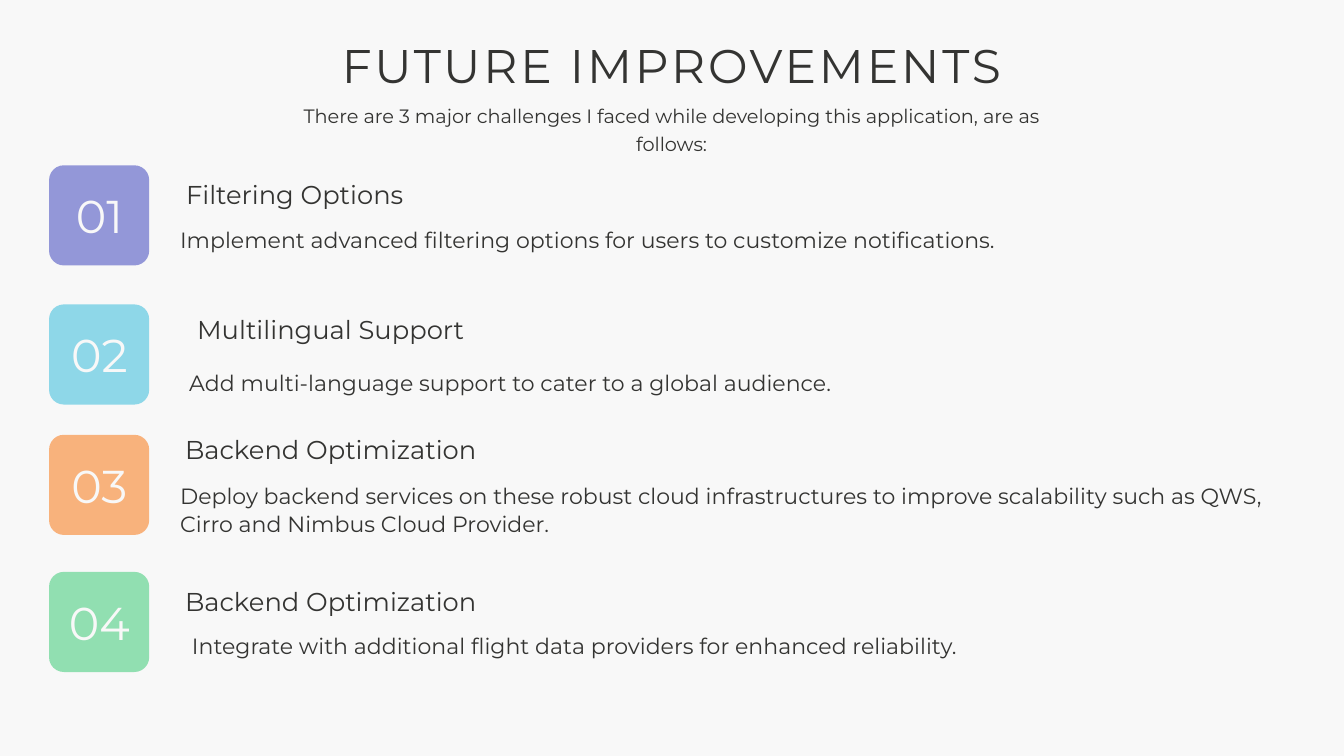
from dataclasses import dataclass

from pptx import Presentation
from pptx import util as u
from pptx.dml.color import RGBColor
from pptx.enum import shapes, text


@dataclass(frozen=True)
class Theme:
    font: str = "Montserrat"
    background: str = "F8F8F8"
    ink: str = "343432"
    badges: tuple = ("9397D8", "8ED7E8", "F8B27C", "91DFB1")
    title: tuple = (50.5, 70.7)
    subtitle: tuple = (20.7, 29)
    number: tuple = (49.3, 63.2)
    heading: tuple = (27.6, 35.4)
    body: tuple = (23.6, 30.3)


CENTER = text.PP_ALIGN.CENTER
LEFT = text.PP_ALIGN.LEFT
BADGE_LEFT, BADGE_SIZE, BADGE_RADIUS = 0.73, 1.49, 0.22
TEXT_LEFT = 2.68
ITEMS = [
    (2.46, "Filtering Options", 2.63, 3.41,
     "Implement advanced filtering options for users to customize notifications.",
     3.34, 12.37, 0.41, LEFT),
    (4.53, "Multilingual Support", 4.64, 4.48,
     "Add multi-language support to cater to a global audience.",
     5.47, 9.83, 0.41, CENTER),
    (6.47, "Backend Optimization", 6.43, 4.48,
     "Deploy backend services on these robust cloud infrastructures to improve "
     "scalability such as QWS, Cirro and Nimbus Cloud Provider.",
     7.15, 16.59, 0.82, LEFT),
    (8.51, "Backend Optimization", 8.68, 4.48,
     "Integrate with additional flight data providers for enhanced reliability.",
     9.39, 11.74, 0.41, CENTER),
]


class SlideBuilder:
    def __init__(self, slide, theme):
        self.slide = slide
        self.theme = theme

    def background(self):
        fill = self.slide.background.fill
        fill.solid()
        fill.fore_color.rgb = RGBColor.from_string(self.theme.background)

    def label(self, wording, box, style, color=None, align=CENTER, spacing=None):
        size, line_height = style
        frame = self.slide.shapes.add_textbox(*map(u.Inches, box)).text_frame
        paragraph = frame.paragraphs[0]
        run = paragraph.add_run()
        run.text = wording
        formats = (
            (frame, {"word_wrap": True, "margin_left": 0, "margin_right": 0,
                     "margin_top": 0, "margin_bottom": 0,
                     "auto_size": text.MSO_AUTO_SIZE.SHAPE_TO_FIT_TEXT}),
            (paragraph, {"alignment": align, "line_spacing": u.Pt(line_height)}),
            (run.font, {"name": self.theme.font, "size": u.Pt(size)}),
            (run.font.color, {"rgb": RGBColor.from_string(color or self.theme.ink)}),
        )
        for target, values in formats:
            for name, value in values.items():
                setattr(target, name, value)
        if spacing:
            run._r.get_or_add_rPr().set("spc", str(round(spacing * 100)))

    def badge(self, number, top, color):
        box = (BADGE_LEFT, top, BADGE_SIZE, BADGE_SIZE)
        shape = self.slide.shapes.add_shape(
            shapes.MSO_SHAPE.ROUNDED_RECTANGLE, *map(u.Inches, box))
        shape.adjustments[0] = BADGE_RADIUS / BADGE_SIZE
        shape.shadow.inherit = False
        shape.fill.solid()
        shape.fill.fore_color.rgb = RGBColor.from_string(color)
        shape.line.fill.background()
        self.label(f"{number:02d}", (0.86, top + 0.28, 1.24, 0.87),
                   self.theme.number, self.theme.background)


def main():
    presentation = Presentation()
    presentation.slide_width = u.Inches(20)
    presentation.slide_height = u.Inches(11.25)
    theme = Theme()
    builder = SlideBuilder(
        presentation.slides.add_slide(presentation.slide_layouts[6]), theme)

    builder.background()
    builder.label("FUTURE IMPROVEMENTS", (3.82, 0.4, 12.35, 0.95),
                  theme.title, spacing=3.1)
    builder.label("There are 3 major challenges I faced while developing this "
                  "application, are as follows:",
                  (4.11, 1.5, 11.77, 0.77), theme.subtitle)

    for number, (item, color) in enumerate(zip(ITEMS, theme.badges), 1):
        (badge_top, heading, heading_top, heading_width,
         body, body_top, body_width, body_height, align) = item
        builder.badge(number, badge_top, color)
        builder.label(heading, (TEXT_LEFT, heading_top, heading_width, 0.48),
                      theme.heading)
        builder.label(body, (TEXT_LEFT, body_top, body_width, body_height),
                      theme.body, align=align)

    presentation.save("out.pptx")


if __name__ == "__main__":
    main()
